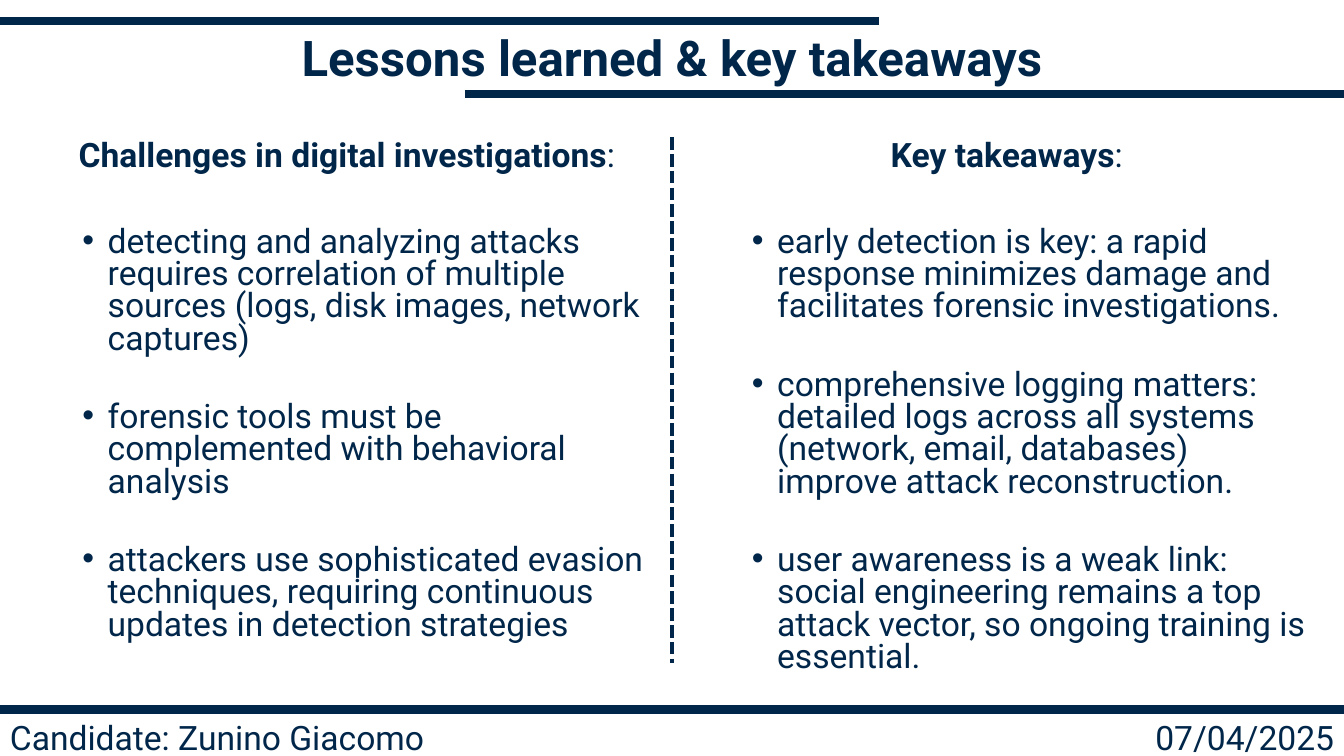
from pptx import Presentation
from pptx.dml.color import RGBColor
from pptx.enum.dml import MSO_LINE
from pptx.enum.shapes import MSO_CONNECTOR
from pptx.enum.text import MSO_ANCHOR, PP_ALIGN
from pptx.oxml.xmlchemy import OxmlElement
from pptx.util import Inches, Pt

W, H = 13.33, 7.5
NAVY = "00264A"
FONT = "Roboto"
BODY_SIZE = 24

CHALLENGES = [
    "detecting and analyzing attacks requires correlation of multiple sources (logs, disk images, network captures)",
    "forensic tools must be complemented with behavioral analysis",
    "attackers use sophisticated evasion techniques, requiring continuous updates in detection strategies",
]
TAKEAWAYS = [
    "early detection is key: a rapid response minimizes damage and facilitates forensic investigations.",
    "comprehensive logging matters: detailed logs across all systems (network, email, databases) improve attack reconstruction.",
    "user awareness is a weak link: social engineering remains a top attack vector, so ongoing training is essential.",
]


def color(hex_code):
    """Turn a hex string into a colour."""
    return RGBColor.from_string(hex_code)


def add_rule(s, x1, y1, x2, y2, width=6, dash=None):
    """Draw a straight navy rule."""
    line = s.shapes.add_connector(
        MSO_CONNECTOR.STRAIGHT, Inches(x1), Inches(y1), Inches(x2), Inches(y2))
    line.line.color.rgb = color(NAVY)
    line.line.width = Pt(width)
    if dash:
        line.line.dash_style = dash
    line._element.spPr.append(OxmlElement("a:effectLst"))


def add_frame(s, x, y, w, h, anchor=MSO_ANCHOR.TOP):
    """Add a wrapping text box and return its text frame."""
    tf = s.shapes.add_textbox(Inches(x), Inches(y), Inches(w), Inches(h)).text_frame
    tf.word_wrap = True
    tf.vertical_anchor = anchor
    return tf


def set_paragraph(p, align, spacing, before=0):
    """Set alignment, line spacing and space before."""
    p.alignment = align
    p.line_spacing = spacing
    p.space_before = Pt(before)


def add_run(p, text, size=BODY_SIZE, bold=False):
    """Append one styled run to a paragraph."""
    r = p.add_run()
    r.text = text
    r.font.name = FONT
    r.font.size = Pt(size)
    r.font.bold = bold
    r.font.color.rgb = color(NAVY)


def set_bullet(p):
    """Give a paragraph a hanging round bullet."""
    pPr = p._p.get_or_add_pPr()
    pPr.set("marL", str(Inches(0.75)))
    pPr.set("indent", str(Inches(-0.25)))
    font = OxmlElement("a:buFont")
    font.set("typeface", "Arial")
    bullet = OxmlElement("a:buChar")
    bullet.set("char", "•")
    pPr.extend([font, bullet])


def add_header(s, x, y, w, h):
    """Place the title between two staggered rules."""
    rule = w * 0.654
    add_rule(s, x, y, x + rule, y)
    add_rule(s, x + w - rule, y + h, x + w, y + h)
    tf = add_frame(s, x, y + 0.1, w, h - 0.1, MSO_ANCHOR.MIDDLE)
    p = tf.paragraphs[0]
    set_paragraph(p, PP_ALIGN.CENTER, 0.8)
    add_run(p, "Lessons learned & key takeaways", 35.1, True)


def add_column(s, x, y, w, h, heading, points):
    """Place a centred heading above spaced bullet points."""
    tf = add_frame(s, x, y, w, h)
    p = tf.paragraphs[0]
    set_paragraph(p, PP_ALIGN.CENTER, 0.8, 10)
    add_run(p, heading, bold=True)
    add_run(p, ":")
    for i, point in enumerate(points):
        p = tf.add_paragraph()
        set_paragraph(p, PP_ALIGN.LEFT, 0.8, 33 if i else 38)
        set_bullet(p)
        add_run(p, point)


def add_footer(s, x, y, w, h):
    """Place the candidate and date under a full-width rule."""
    add_rule(s, x, y, x + w, y)
    half = w / 2
    entries = [("Candidate: Zunino Giacomo", PP_ALIGN.LEFT), ("07/04/2025", PP_ALIGN.RIGHT)]
    for i, (text, align) in enumerate(entries):
        tf = add_frame(s, x + i * half, y + 0.05, half, h, MSO_ANCHOR.MIDDLE)
        p = tf.paragraphs[0]
        set_paragraph(p, align, 0.9, 10)
        add_run(p, text)


def main():
    """Build and save the slide."""
    prs = Presentation()
    prs.slide_width, prs.slide_height = Inches(W), Inches(H)
    s = prs.slides.add_slide(prs.slide_layouts[6])
    top, height = 1.36, 5.45
    add_header(s, 0, 0.21, W, 0.72)
    add_column(s, 0.22, top, 6.44, height, "Challenges in digital investigations", CHALLENGES)
    add_column(s, 6.86, top, 6.25, height, "Key takeaways", TAKEAWAYS)
    add_rule(s, W / 2, top, W / 2, 6.58, 3, MSO_LINE.SQUARE_DOT)
    add_footer(s, 0, 7.04, W, 0.5)
    prs.save("out.pptx")


if __name__ == "__main__":
    main()
